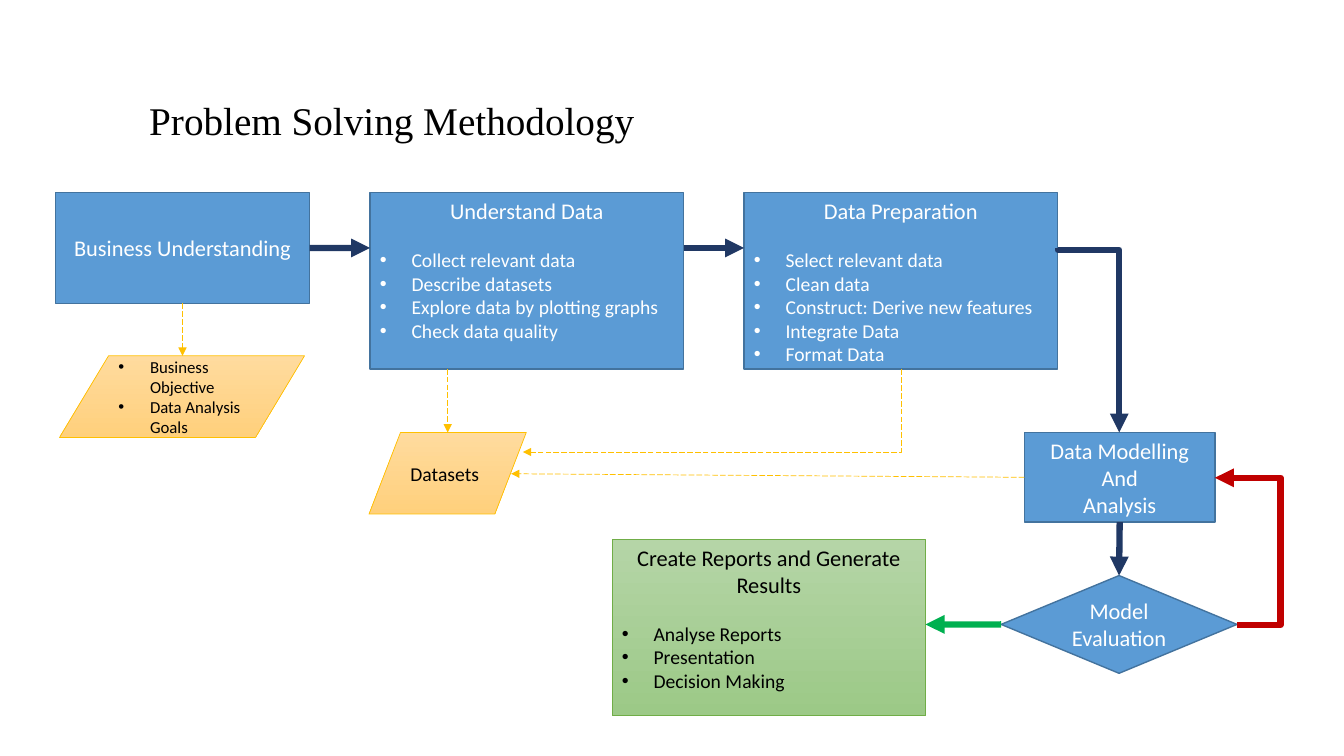
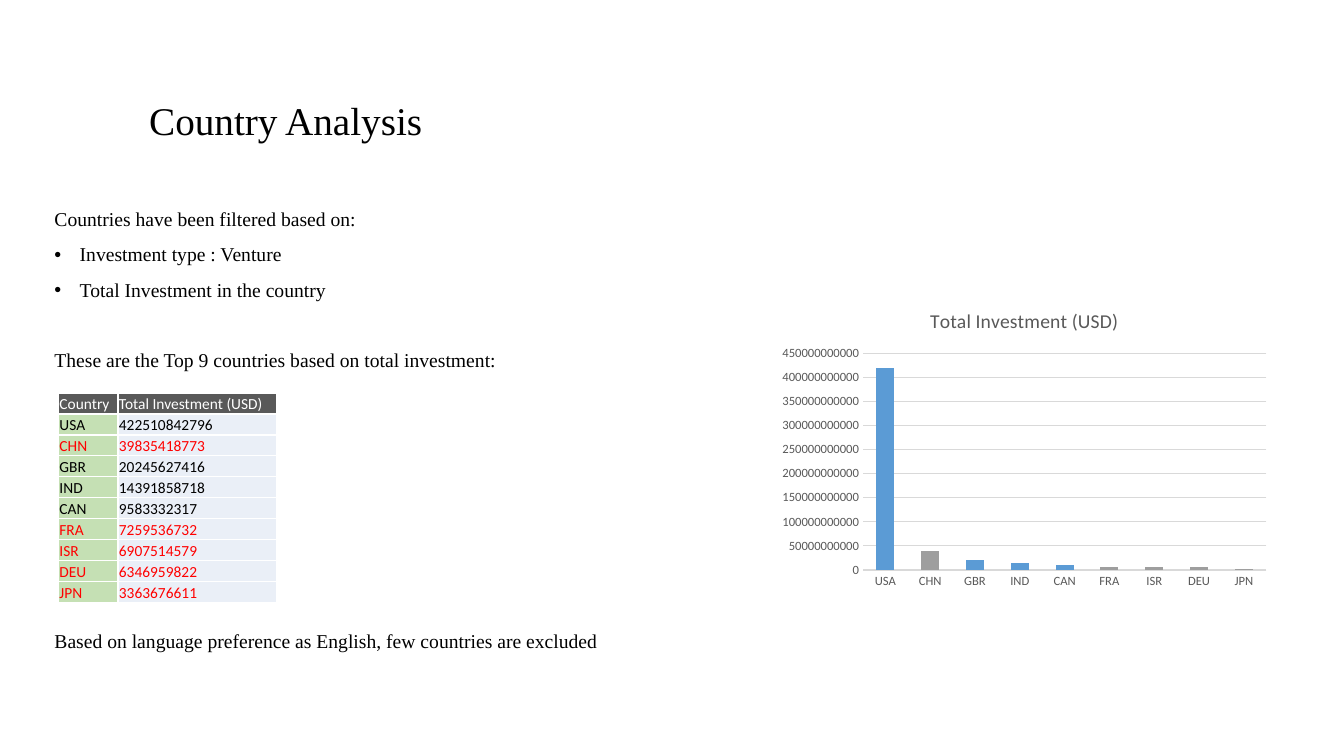
"""Builds two slides: a problem solving flow and a country analysis."""
import pptx
import pptx.chart.data
import pptx.dml.color
import pptx.enum.chart
import pptx.enum.dml
import pptx.enum.shapes
import pptx.enum.text
import pptx.oxml
import pptx.util

RGB = pptx.dml.color.RGBColor
BLACK, WHITE, RED = RGB(0, 0, 0), RGB(255, 255, 255), RGB(255, 0, 0)
BLUE, BLUE_EDGE, NAVY = RGB(0x5B, 0x9B, 0xD5), RGB(0x43, 0x73, 0x9E), RGB(0x20, 0x38, 0x64)
GOLD, GOLD_TOP, GOLD_END = RGB(0xFF, 0xC0, 0), RGB(0xFF, 0xDB, 0x9E), RGB(0xFF, 0xD0, 0x7C)
GREEN, GREEN_TOP, GREEN_END = RGB(0x70, 0xAD, 0x47), RGB(0xB5, 0xD5, 0xA7), RGB(0x9C, 0xC9, 0x87)
CRIMSON, EMERALD = RGB(0xC0, 0, 0), RGB(0, 0xB0, 0x50)
DARK, MID, PALE = RGB(0x59, 0x59, 0x59), RGB(0x9E, 0x9E, 0x9E), RGB(0xD9, 0xD9, 0xD9)
MINT, ICE = RGB(0xC5, 0xE0, 0xB4), RGB(0xEA, 0xEF, 0xF7)
SANS, SERIF = "Calibri", "Times New Roman"

Pt = pptx.util.Pt
ALIGN, ANCHOR = pptx.enum.text.PP_ALIGN, pptx.enum.text.MSO_ANCHOR
SHAPE, LINE = pptx.enum.shapes.MSO_SHAPE, pptx.enum.shapes.MSO_CONNECTOR

prs = pptx.Presentation()
prs.slide_width, prs.slide_height = pptx.util.Inches(13.33), pptx.util.Inches(7.5)
COL, ROW = prs.slide_width / 100, prs.slide_height / 100


def write(p, text, size, color, face=SANS, bullet=0, **fmt):
    """Fill a paragraph; bullet is its hanging indent in columns."""
    r = p.add_run()
    r.text = text
    r.font.color.rgb = color
    for name, value in {"size": Pt(size), "name": face, "bold": False}.items():
        setattr(r.font, name, value)
    for name, value in fmt.items():
        setattr(p, name, value)
    pPr = p._p.get_or_add_pPr()
    pPr.set("marL", str(int(bullet * COL)))
    pPr.set("indent", str(int(-bullet * COL)))
    marks = ['buFont typeface="Arial"', 'buChar char="•"'] if bullet else ["buNone"]
    for mark in marks:
        pPr.append(pptx.oxml.parse_xml(
            f'<a:{mark} xmlns:a="http://schemas.openxmlformats.org/drawingml/2006/main"/>'))


def link(ends, color, width, kind=LINE.STRAIGHT, begin=None, end=None):
    """Draw an arrow between two points given in columns and rows."""
    x1, y1, x2, y2 = ends
    c = s.shapes.add_connector(kind, int(x1 * COL), int(y1 * ROW), int(x2 * COL), int(y2 * ROW))
    if begin:
        c.begin_connect(*begin)
    if end:
        c.end_connect(*end)
    c.line.color.rgb, c.line.width = color, Pt(width)
    if width < 1:
        c.line.dash_style = pptx.enum.dml.MSO_LINE.LONG_DASH
    ns = 'xmlns:a="http://schemas.openxmlformats.org/drawingml/2006/main"'
    c.line._get_or_add_ln().append(pptx.oxml.parse_xml(f'<a:tailEnd {ns} type="triangle"/>'))
    c._element.spPr.append(pptx.oxml.parse_xml(f"<a:effectLst {ns}/>"))
    return c


slides = []
for title, layout in (("Problem Solving Methodology", 5), ("Country Analysis", 1)):
    s = prs.slides.add_slide(prs.slide_layouts[layout])
    sp = s.shapes.title
    place = {"left": 9.3 * COL, "top": 9.33 * ROW, "width": 76.44 * COL, "height": 12.53 * ROW}
    for name, value in place.items():
        setattr(sp, name, int(value))
    tf = sp.text_frame
    frame = {"vertical_anchor": ANCHOR.MIDDLE, "margin_left": int(1.8 * COL),
             "margin_top": int(1.9 * ROW), "word_wrap": True,
             "auto_size": pptx.enum.text.MSO_AUTO_SIZE.NONE}
    for name, value in frame.items():
        setattr(tf, name, value)
    write(tf.paragraphs[0], title, 28, BLACK, SERIF, alignment=ALIGN.LEFT, line_spacing=0.9)
    slides.append(s)

s = slides[0]
looks = {
    "step": ([BLUE], BLUE_EDGE, 1, WHITE),
    "store": ([GOLD_TOP, GOLD_END], GOLD, 0.5, BLACK),
    "result": ([GREEN_TOP, GREEN_END], GREEN, 0.5, BLACK),
}
nodes = {
    "business": ("step", SHAPE.RECTANGLE, (4.13, 25.47, 18.9, 14.67), ANCHOR.MIDDLE,
                 ["Business Understanding"], 16, []),
    "understand": ("step", SHAPE.RECTANGLE, (27.53, 25.47, 23.33, 23.33), ANCHOR.TOP,
                   ["Understand Data"], 16,
                   ["Collect relevant data", "Describe datasets",
                    "Explore data by plotting graphs", "Check data quality"]),
    "prepare": ("step", SHAPE.RECTANGLE, (55.36, 25.47, 23.33, 23.33), ANCHOR.TOP,
                ["Data Preparation"], 16,
                ["Select relevant data", "Clean data", "Construct: Derive new features",
                 "Integrate Data", "Format Data"]),
    "goals": ("store", SHAPE.FLOWCHART_DATA, (4.43, 47.07, 18.23, 10.8), ANCHOR.MIDDLE,
              [], 12, ["Business Objective", "Data Analysis Goals"]),
    "datasets": ("store", SHAPE.FLOWCHART_DATA, (27.46, 57.2, 11.7, 10.8), ANCHOR.MIDDLE,
                 ["Datasets"], 14, []),
    "model": ("step", SHAPE.RECTANGLE, (76.22, 57.2, 14.18, 11.87), ANCHOR.TOP,
              ["Data Modelling", "And", "Analysis"], 16, []),
    "evaluate": ("step", SHAPE.FLOWCHART_DECISION, (74.49, 76.13, 17.55, 12.93), ANCHOR.MIDDLE,
                 ["Model Evaluation"], 16, []),
    "report": ("result", SHAPE.RECTANGLE, (45.54, 71.33, 23.33, 23.33), ANCHOR.TOP,
               ["Create Reports and Generate Results"], 16,
               ["Analyse Reports", "Presentation", "Decision Making"]),
}
box = {}
for key, (look, shape, (x, y, w, h), anchor, heads, size, items) in nodes.items():
    fills, edge, width, ink = looks[look]
    sp = box[key] = s.shapes.add_shape(shape, int(x * COL), int(y * ROW), int(w * COL), int(h * ROW))
    sp.shadow.inherit = False
    if len(fills) == 1:
        sp.fill.solid()
        sp.fill.fore_color.rgb = fills[0]
    else:
        sp.fill.gradient()
        sp.fill.gradient_angle = 270
        for stop, color, position in zip(sp.fill.gradient_stops, fills, (0, 1)):
            stop.color.rgb, stop.position = color, position
    sp.line.color.rgb, sp.line.width = edge, Pt(width)
    tf = sp.text_frame
    tf.word_wrap, tf.vertical_anchor = True, anchor
    for i, text in enumerate(heads + items):
        p = tf.add_paragraph() if i else tf.paragraphs[0]
        if i < len(heads):
            write(p, text, size, ink, alignment=ALIGN.LEFT if look == "store" else ALIGN.CENTER)
        else:
            gap = Pt(17 if heads and i == len(heads) else 0)
            write(p, text, 14 if heads else size, ink, bullet=2.35,
                  alignment=ALIGN.LEFT, space_before=gap)

for ends, color, width, begin, end in (
    ((13.58, 40.13, 13.58, 47.07), GOLD, 0.5, (box["business"], 2), None),
    ((23.03, 32.8, 27.53, 32.8), NAVY, 4.5, (box["business"], 3), None),
    ((33.31, 48.8, 33.31, 57.2), GOLD, 0.5, None, None),
    ((50.86, 32.8, 55.36, 32.8), NAVY, 4.5, None, None),
    ((76.22, 63.2, 38.03, 62.67), GOLD, 0.5, (box["model"], 1), None),
    ((83.3, 69.07, 83.3, 76.13), NAVY, 4.5, (box["model"], 2), (box["evaluate"], 0)),
    ((74.49, 82.6, 68.87, 82.6), EMERALD, 4.5, (box["evaluate"], 1), None),
):
    link(ends, color, width, begin=begin, end=end)

for ends, color, width, preset, turn, bend in (
    ((49.89, 29.33, 56.04, 79.33), GOLD, 0.5, "bentConnector2", 90, None),
    ((87.85, 40.93, 74.12, 49.07), NAVY, 4.5, "bentConnector3", 270, 1000),
    ((92.05, 82.67, 90.4, 63.2), CRIMSON, 4.5, "bentConnector3", 0, -196000),
):
    spPr = link(ends, color, width, LINE.ELBOW)._element.spPr
    spPr.xfrm.set("rot", str(turn * 60000))
    spPr.prstGeom.set("prst", preset)
    if bend:
        guides = spPr.prstGeom.get_or_add_avLst()
        guides.append(pptx.oxml.parse_xml(
            '<a:gd xmlns:a="http://schemas.openxmlformats.org/drawingml/2006/main" '
            f'name="adj1" fmla="val {bend}"/>'))

s = slides[1]
sp = s.placeholders[1]
place = {"left": 3.3 * COL, "top": 27.07 * ROW, "width": 91.6 * COL, "height": 63.33 * ROW}
for name, value in place.items():
    setattr(sp, name, int(value))
tf = sp.text_frame
tf.word_wrap, tf.auto_size = True, pptx.enum.text.MSO_AUTO_SIZE.NONE
for i, (text, bullet, gap) in enumerate((
    ("Countries have been filtered based on:", 0, 10),
    ("Investment type : Venture", 1.88, 10),
    ("Total Investment in the country", 1.88, 10),
    ("These are the Top 9 countries based on total investment:", 0, 35),
    ("Based on language preference as English, few countries are excluded", 0, 185.5),
)):
    p = tf.add_paragraph() if i else tf.paragraphs[0]
    write(p, text, 14, BLACK, SERIF, bullet, line_spacing=0.9, space_before=Pt(gap))

HEADS = ("Country", "Total Investment (USD)")
totals = {"USA": 422510842796, "CHN": 39835418773, "GBR": 20245627416,
          "IND": 14391858718, "CAN": 9583332317, "FRA": 7259536732,
          "ISR": 6907514579, "DEU": 6346959822, "JPN": 3363676611}
excluded = {"CHN", "FRA", "ISR", "DEU", "JPN"}

rows = [HEADS, *totals.items()]
tbl = s.shapes.add_table(len(rows), 2, int(4.35 * COL), int(52 * ROW),
                         int(16.21 * COL), int(2.77 * ROW * len(rows))).table
tbl.first_row = tbl.horz_banding = False
for column, width in zip(tbl.columns, (4.43, 11.78)):
    column.width = int(width * COL)
for i, row in enumerate(rows):
    ink = RED if row[0] in excluded else BLACK if i else WHITE
    for j, value in enumerate(row):
        cell = tbl.cell(i, j)
        cell.fill.solid()
        cell.fill.fore_color.rgb = (MINT, ICE)[j] if i else DARK
        inset = {"margin_left": Pt(0.7), "margin_right": Pt(0.7), "margin_top": Pt(0.7),
                 "margin_bottom": 0, "vertical_anchor": ANCHOR.BOTTOM}
        for name, setting in inset.items():
            setattr(cell, name, setting)
        write(cell.text_frame.paragraphs[0], str(value), 11, ink)

data = pptx.chart.data.CategoryChartData(number_format="0")
data.categories = list(totals)
data.add_series(HEADS[1], [n * 10**9 for n in (420, 40, 20, 14, 10, 7, 7, 6, 3)])
ch = s.shapes.add_chart(pptx.enum.chart.XL_CHART_TYPE.COLUMN_STACKED, int(57.46 * COL),
                        int(38.67 * ROW), int(37.51 * COL), int(40 * ROW), data).chart
ch.has_legend, ch.has_title = False, True
ch.font.name, ch.font.size = SANS, Pt(10)
write(ch.chart_title.text_frame.paragraphs[0], HEADS[1], 14, DARK)
plot = ch.plots[0]
plot.gap_width, plot.overlap, plot.vary_by_categories = 150, 100, False
bars = plot.series[0]
bars.format.fill.solid()
bars.format.fill.fore_color.rgb = BLUE
for i, country in enumerate(totals):
    if country in excluded:
        fill = bars.points[i].format.fill
        fill.solid()
        fill.fore_color.rgb = MID
for axis in (ch.category_axis, ch.value_axis):
    axis.major_tick_mark = axis.minor_tick_mark = pptx.enum.chart.XL_TICK_MARK.NONE
    axis.format.line.fill.background()
    font = axis.tick_labels.font
    font.name, font.size, font.color.rgb = SANS, Pt(9), DARK
axis = ch.value_axis
axis.minimum_scale, axis.maximum_scale, axis.major_unit = 0, 450 * 10**9, 50 * 10**9
axis.tick_labels.number_format, axis.tick_labels.number_format_is_linked = "0", False
grid = axis.major_gridlines.format.line
grid.color.rgb, grid.width = PALE, Pt(0.75)
ch.category_axis.format.line.color.rgb = PALE

prs.save("out.pptx")
